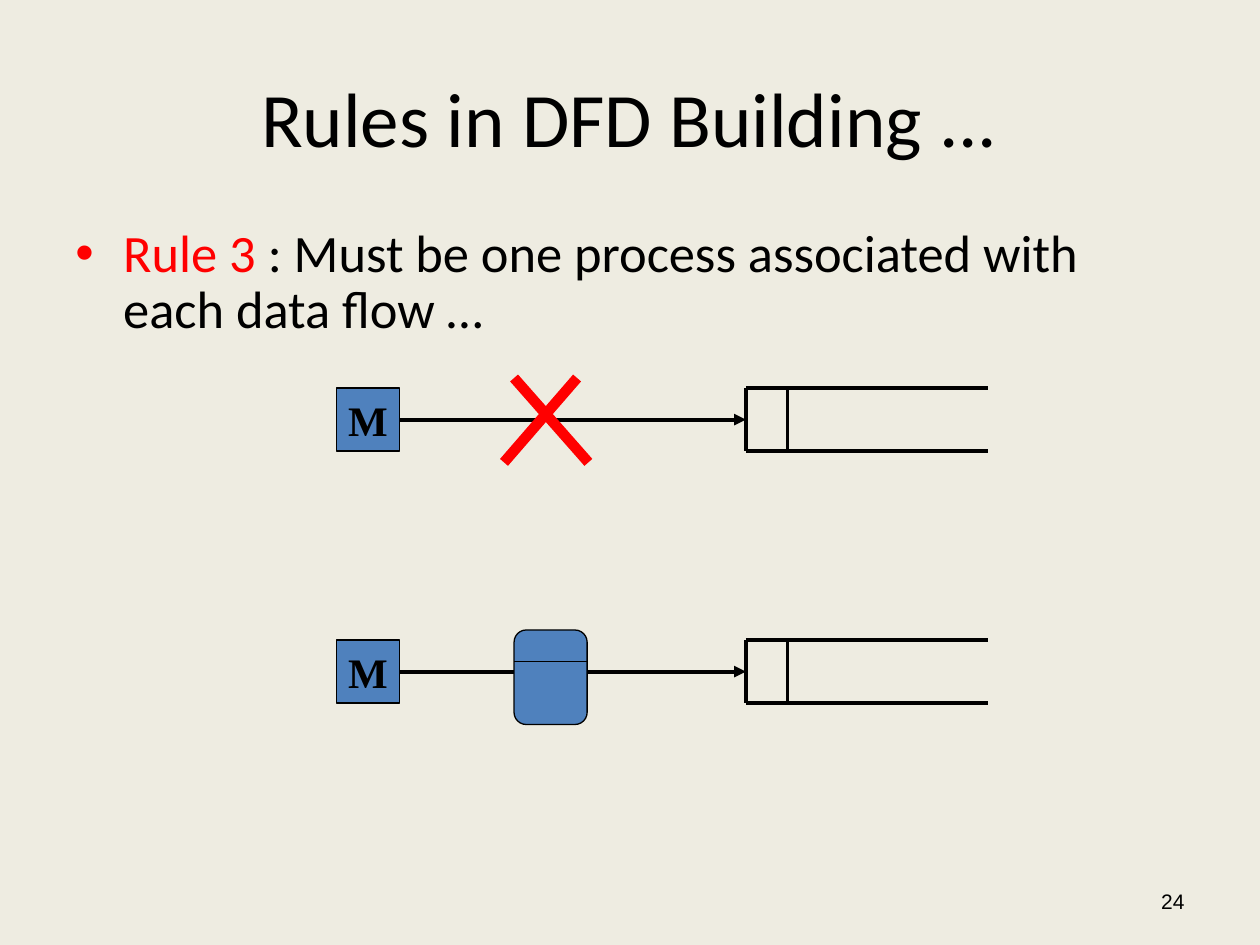
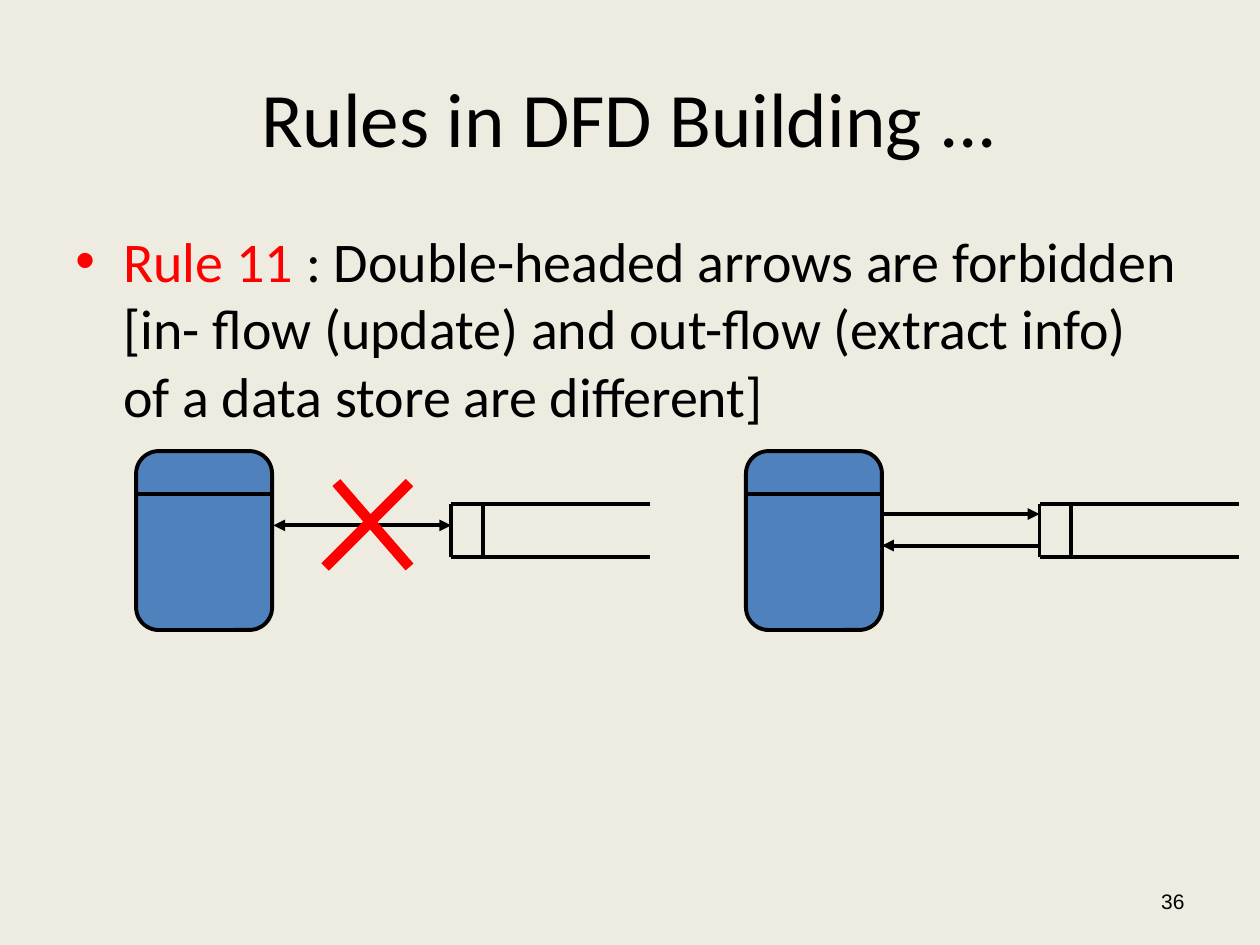
from lxml import etree
from pptx import Presentation
from pptx.dml.color import RGBColor
from pptx.enum.shapes import MSO_CONNECTOR, MSO_SHAPE
from pptx.enum.text import MSO_ANCHOR, PP_ALIGN
from pptx.oxml.ns import qn
from pptx.util import Inches, Pt

LINE = MSO_CONNECTOR.STRAIGHT
RECT, ROUND = MSO_SHAPE.RECTANGLE, MSO_SHAPE.ROUNDED_RECTANGLE
MIDDLE, TOP = MSO_ANCHOR.MIDDLE, MSO_ANCHOR.TOP
LEFT, CENTER, RIGHT = PP_ALIGN.LEFT, PP_ALIGN.CENTER, PP_ALIGN.RIGHT

# Shared style
PAPER, BLUE, BLACK, RED = "EEECE1", "4F81BD", "000000", "FF0000"
SANS, SERIF, PLAIN = "Calibri", "Times New Roman", "Arial"
THICK, THIN, HEAVY = 2.25, 0.75, 6
TITLE = "Rules in DFD Building ..."

# Content: all places in inches
RULES = [
    dict(num="24", rule="Rule 3", size=30, lead=0.9, high=1.02,
         text=" : Must be one process associated with each data flow …"),
    dict(num="36", rule="Rule 11", size=32, lead=1.0, high=1.81,
         text=" : Double-headed arrows are forbidden [in- flow (update) "
              "and out-flow (extract info) of a data store are different]"),
]
ROWS = [3.08, 5.08]                      # tops of the two flows of rule 3
UNIT, SPAN = 0.5, 1.92                   # entity side, store length
MAKER, STORE = 2.67, 5.92                # lefts of entity and store
WRONG = [(4.08, 3, 4.67, 3.67), (4.58, 3, 4, 3.67)]
BOXES, STORES = [1.08, 5.92], [3.58, 8.25]   # rule 11: processes and stores
WIDE, TALL = 1.08, 1.42
FLOWS = [(2.17, 4.17, 3.58, 4.17, True),
         (7, 4.08, 8.25, 4.08, False),
         (8.25, 4.33, 7, 4.33, False)]
BARRED = [(2.67, 3.83, 3.25, 4.5), (3.25, 3.83, 2.58, 4.5)]


def color(code):
    return RGBColor.from_string(code)


def write(para, text, size, font, code=BLACK, bold=False):
    run = para.add_run()
    run.text = text
    run.font.size, run.font.name, run.font.bold = Pt(size), font, bold
    run.font.color.rgb = color(code)


def add_text(slide, x, y, w, h, align, anchor):
    box = slide.shapes.add_textbox(*map(Inches, (x, y, w, h)))
    frame = box.text_frame
    frame.word_wrap, frame.vertical_anchor = True, anchor
    frame.paragraphs[0].alignment = align
    return frame.paragraphs[0]


def add_bullet(para):
    props = para._p.get_or_add_pPr()
    props.set("marL", str(Inches(0.38)))
    props.set("indent", str(Inches(-0.38)))
    tint = etree.SubElement(props, qn("a:buClr"))
    etree.SubElement(tint, qn("a:srgbClr"), val=RED)
    etree.SubElement(props, qn("a:buFont"), typeface=PLAIN)
    etree.SubElement(props, qn("a:buChar"), char="•")


def add_line(slide, x1, y1, x2, y2, width=THICK, code=BLACK, heads=()):
    line = slide.shapes.add_connector(LINE, *map(Inches, (x1, y1, x2, y2)))
    line.line.color.rgb, line.line.width = color(code), Pt(width)
    for end in heads:
        etree.SubElement(line.line._get_or_add_ln(), qn("a:" + end), type="triangle")
    etree.SubElement(line._element.spPr, qn("a:effectLst"))
    return line


def add_box(slide, kind, x, y, w, h, width):
    box = slide.shapes.add_shape(kind, *map(Inches, (x, y, w, h)))
    box.shadow.inherit = False
    box.fill.solid()
    box.fill.fore_color.rgb = color(BLUE)
    box.line.color.rgb, box.line.width = color(BLACK), Pt(width)
    return box


def add_entity(slide, x, y):
    box = add_box(slide, RECT, x, y, UNIT, UNIT, THIN)
    frame = box.text_frame
    frame.word_wrap, frame.vertical_anchor = False, MIDDLE
    frame.paragraphs[0].alignment = CENTER
    write(frame.paragraphs[0], "M", 24, SERIF, bold=True)
    return box


def add_process(slide, x, y, w, h, band, width):
    add_box(slide, ROUND, x, y, w, h, width)
    add_line(slide, x, y + band, x + w, y + band, width)


def add_store(slide, x, y, w, h, cell):
    for level in (y, y + h):
        add_line(slide, x, level, x + w, level)
    for side in (x, x + cell):
        add_line(slide, side, y, side, y + h)


def add_cross(slide, strokes):
    for stroke in strokes:
        add_line(slide, *stroke, HEAVY, RED)


def add_frame(deck, num, rule, size, lead, high, text):
    """Background, title, rule and slide number."""
    slide = deck.slides.add_slide(deck.slide_layouts[6])
    slide.background.fill.solid()
    slide.background.fill.fore_color.rgb = color(PAPER)
    write(add_text(slide, 0.5, 0.3, 9, 1.25, CENTER, MIDDLE), TITLE, 44, SANS)
    para = add_text(slide, 0.5, 1.75, 9, high, LEFT, TOP)
    add_bullet(para)
    para.line_spacing = lead
    write(para, rule, size, SANS, RED)
    write(para, text, size, SANS)
    write(add_text(slide, 7.17, 6.95, 2.33, 0.4, RIGHT, MIDDLE), num, 12, PLAIN)
    return slide


def draw_process_rule(slide):
    for top in ROWS:
        maker = add_entity(slide, MAKER, top)
        add_store(slide, STORE, top, SPAN, UNIT, 0.33)
        mid = top + UNIT / 2
        flow = add_line(slide, MAKER + UNIT, mid, STORE, mid, heads=["tailEnd"])
        flow.begin_connect(maker, 3)
    add_cross(slide, WRONG)
    add_process(slide, 4.08, 5, 0.58, 0.75, 0.25, THIN)


def draw_arrow_rule(slide):
    for box, store in zip(BOXES, STORES):
        add_process(slide, box, 3.58, WIDE, TALL, 0.34, THICK)
        add_store(slide, store, 4, 1.58, 0.42, 0.25)
    for *ends, both in FLOWS:
        add_line(slide, *ends, heads=["headEnd", "tailEnd"] if both else ["tailEnd"])
    add_cross(slide, BARRED)


def main():
    deck = Presentation()
    deck.slide_width, deck.slide_height = Inches(10), Inches(7.5)
    for rule, draw in zip(RULES, (draw_process_rule, draw_arrow_rule)):
        draw(add_frame(deck, **rule))
    deck.save("out.pptx")


if __name__ == "__main__":
    main()
